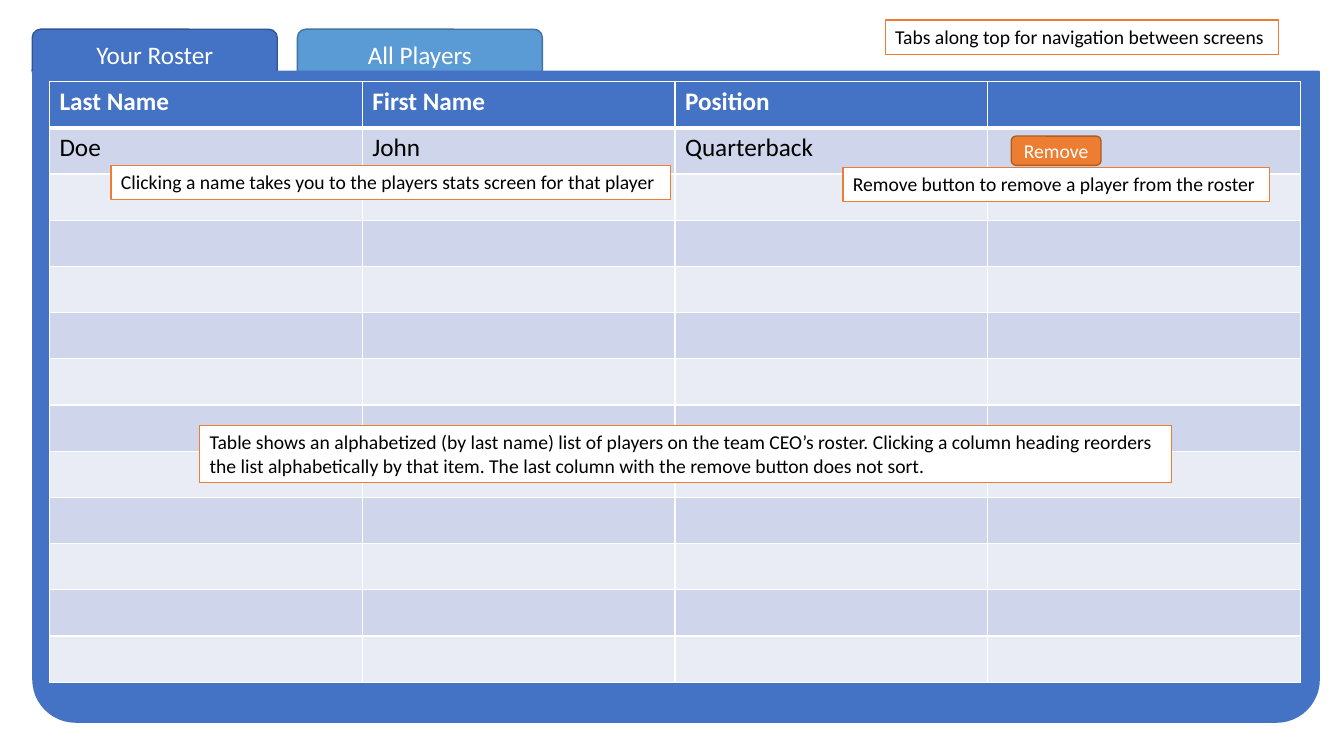
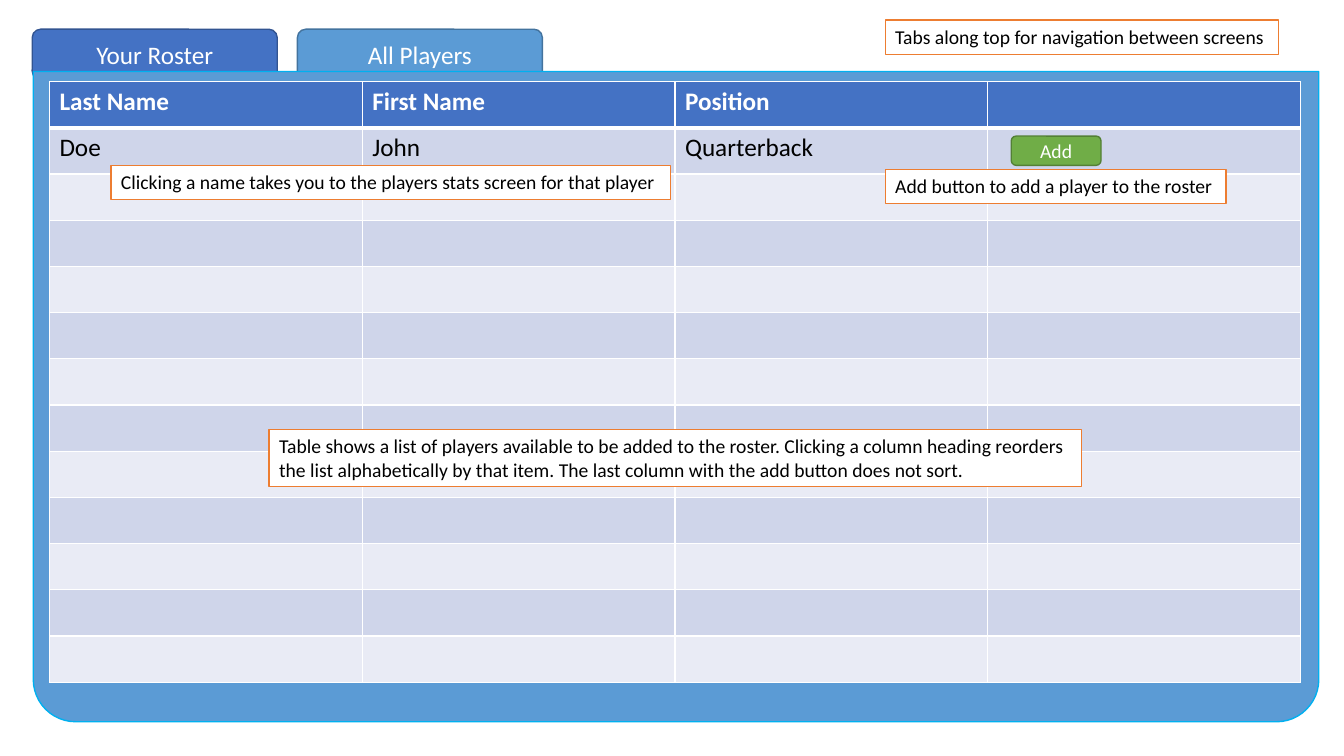
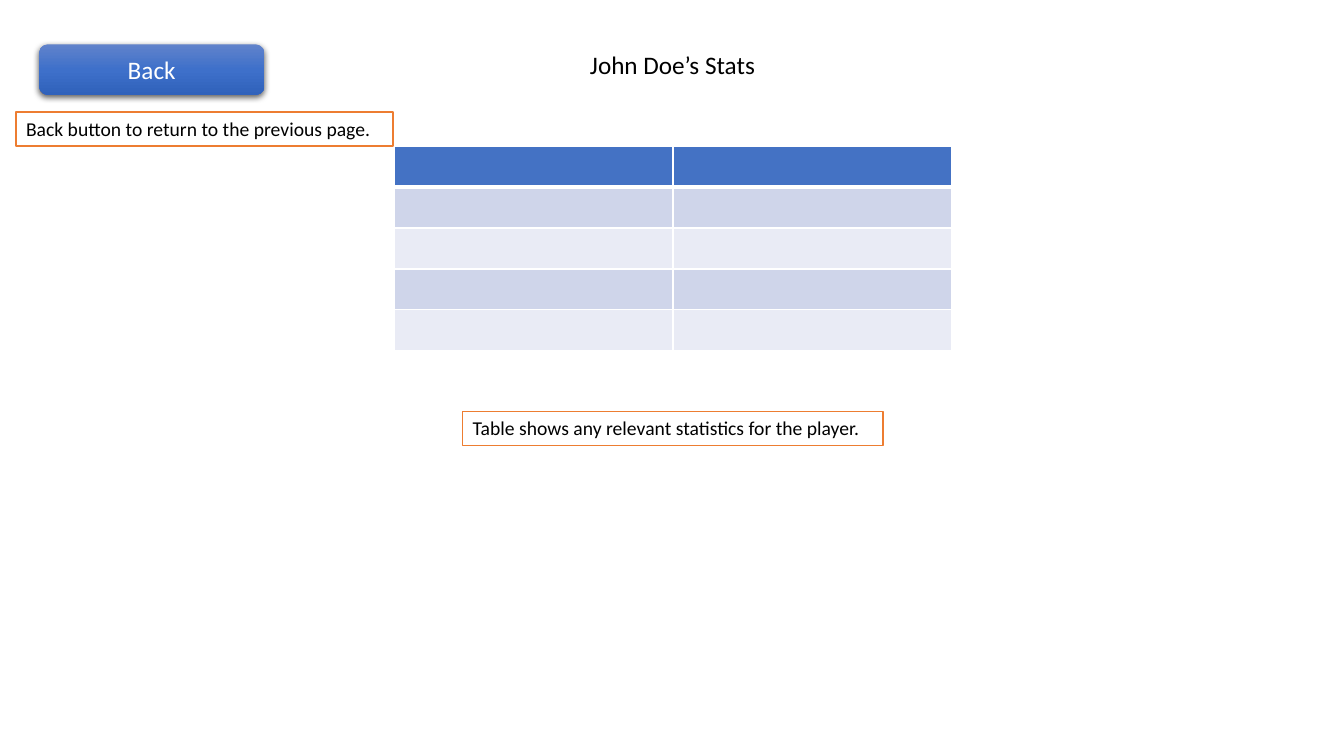
from copy import deepcopy
from dataclasses import dataclass

from lxml.etree import SubElement
from pptx import Presentation
from pptx.dml.color import RGBColor
from pptx.enum.shapes import MSO_SHAPE as SHAPE
from pptx.enum.text import MSO_ANCHOR as ANCHOR, PP_ALIGN as ALIGN
from pptx.oxml.ns import qn
from pptx.util import Inches, Pt


@dataclass(frozen=True)
class Theme:
    """Colours, font and type sizes shared by all screens."""
    font: str = "Calibri"
    body: int = 18
    small: int = 14
    white: str = "FFFFFF"
    black: str = "000000"
    blue: str = "4472C4"
    blue_edge: str = "325491"
    sky: str = "5B9BD5"
    sky_edge: str = "43739E"
    cyan: str = "00B0F0"
    orange: str = "ED7D31"
    orange_edge: str = "AF5C24"
    green: str = "70AD47"
    green_edge: str = "538035"
    bands: tuple = ("CFD5EA", "E9EBF5")
    gradient: tuple = ((0, "6183CB"), (0.5, "3E70CA"), (1, "3062BB"))


T = Theme()
ROSTER = [["Last Name", "First Name", "Position", ""],
          ["Doe", "John", "Quarterback", ""]]


def rgb(code):
    """Turn a hex code into a colour."""
    return RGBColor.from_string(code)


def write(tf, lines, size, color, align=ALIGN.LEFT, bold=False):
    """Write one paragraph per line into a text frame."""
    for i, line in enumerate(lines):
        p = tf.paragraphs[0] if i == 0 else tf.add_paragraph()
        p.alignment = align
        r = p.add_run()
        r.text = line
        r.font.name, r.font.size, r.font.bold = T.font, Pt(size), bold
        r.font.color.rgb = rgb(color)


def add_box(slide, kind, box, fill, edge, width=1):
    """Add a flat preset shape with a fill and an outline."""
    sp = slide.shapes.add_shape(kind, *map(Inches, box))
    sp.shadow.inherit = False
    sp.fill.solid()
    sp.fill.fore_color.rgb = rgb(fill)
    sp.line.color.rgb = rgb(edge)
    sp.line.width = Pt(width)
    return sp


def add_button(slide, box, label, fill, edge, size=T.body):
    """Add a rounded button or tab with a centred label."""
    sp = add_box(slide, SHAPE.ROUNDED_RECTANGLE, box, fill, edge)
    sp.text_frame.vertical_anchor = ANCHOR.MIDDLE
    write(sp.text_frame, [label], size, T.white, ALIGN.CENTER)
    return sp


def add_note(slide, left, top, width, *lines):
    """Add an outlined note whose height follows its line count."""
    height = 0.11 + 0.23 * len(lines)
    sp = add_box(slide, SHAPE.RECTANGLE, (left, top, width, height), T.white, T.orange)
    tf = sp.text_frame
    tf.word_wrap = True
    tf.vertical_anchor = ANCHOR.TOP
    write(tf, lines, T.small, T.black)


def set_borders(cell, top, bottom):
    """Give a cell white borders, with top and bottom widths in points."""
    props = cell._tc.get_or_add_tcPr()
    for side, width in (("L", 1), ("R", 1), ("T", top), ("B", bottom)):
        ln = SubElement(props, qn(f"a:ln{side}"), w=str(Pt(width)))
        SubElement(SubElement(ln, qn("a:solidFill")), qn("a:srgbClr"), val=T.white)


def add_banded_table(slide, box, rows, cols, texts=()):
    """Add a table with a blue header and alternating row bands."""
    left, top, width, height = map(Inches, box)
    table = slide.shapes.add_table(rows, cols, left, top, width, height).table
    for i in range(rows):
        for j in range(cols):
            cell = table.cell(i, j)
            set_borders(cell, 3 if i == 1 else 1, 3 if i == 0 else 1)
            cell.fill.solid()
            cell.fill.fore_color.rgb = rgb(T.bands[(i - 1) % 2] if i else T.blue)
            if i < len(texts) and texts[i][j]:
                write(cell.text_frame, [texts[i][j]], T.body,
                      T.black if i else T.white, bold=i == 0)


def add_list_screen(prs, panel, panel_edge, edge_width, button):
    """Add a screen with tabs, a panel, a player table and shared notes."""
    slide = prs.slides.add_slide(prs.slide_layouts[6])
    tabs = (("Your Roster", T.blue, T.blue_edge), ("All Players", T.sky, T.sky_edge))
    for i, tab in enumerate(tabs):
        add_button(slide, (0.32 + 2.63 * i, 0.29, 2.43, 0.5), *tab)
    sp = add_box(slide, SHAPE.ROUND_2_SAME_RECTANGLE, (0.33, 0.71, 12.75, 6.45),
                 panel, panel_edge, edge_width)
    sp.adjustments[0] = 0.065
    sp.rotation = 180
    add_banded_table(slide, (0.49, 0.81, 12.41, 5.96), 13, 4, ROSTER)
    add_button(slide, (10.03, 1.35, 0.89, 0.29), *button, T.small)
    add_note(slide, 8.78, 0.2, 3.9, "Tabs along top for navigation between screens")
    add_note(slide, 1.1, 1.64, 5.55,
             "Clicking a name takes you to the players stats screen for that player")
    return slide


def make_glossy(sp):
    """Give a button a vertical gradient and a soft shadow, without outline."""
    sp.line.fill.background()
    sp.fill.gradient()
    sp.fill.gradient_angle = 270
    first = sp.fill.gradient_stops[0]._gs
    first.addnext(deepcopy(first))
    for stop, (position, color) in zip(sp.fill.gradient_stops, T.gradient):
        stop.position = position
        stop.color.rgb = rgb(color)
    effects = sp._element.spPr.find(qn("a:effectLst"))
    shadow = SubElement(effects, qn("a:outerShdw"), blurRad=str(Pt(4.5)),
                        dist=str(Pt(1.5)), dir="5400000", algn="ctr", rotWithShape="0")
    color = SubElement(shadow, qn("a:srgbClr"), val=T.black)
    SubElement(color, qn("a:alpha"), val="63000")


def add_stats_screen(prs):
    """Add the statistics screen of one player."""
    slide = prs.slides.add_slide(prs.slide_layouts[6])
    back = add_button(slide, (0.39, 0.44, 2.23, 0.5), "Back", T.blue, T.blue_edge)
    make_glossy(back)
    title = slide.shapes.add_textbox(*map(Inches, (5.74, 0.44, 1.86, 0.4)))
    title.text_frame.word_wrap = False
    write(title.text_frame, ["John Doe’s Stats"], T.body, T.black, ALIGN.CENTER)
    add_banded_table(slide, (3.91, 1.45, 5.53, 2.03), 5, 2)
    add_note(slide, 4.59, 4.08, 4.17, "Table shows any relevant statistics for the player.")
    add_note(slide, 0.16, 1.11, 3.74, "Back button to return to the previous page.")


def main():
    """Build the three screens and save them."""
    prs = Presentation()
    prs.slide_width, prs.slide_height = Inches(13.33), Inches(7.5)

    roster = add_list_screen(prs, T.blue, T.blue, 1.5, ("Remove", T.orange, T.orange_edge))
    add_note(roster, 8.36, 1.66, 4.23, "Remove button to remove a player from the roster")
    add_note(roster, 1.98, 4.22, 9.64,
             "Table shows an alphabetized (by last name) list of players on the team "
             "CEO’s roster. Clicking a column heading reorders",
             "the list alphabetically by that item. The last column with the remove "
             "button does not sort.")

    players = add_list_screen(prs, T.sky, T.cyan, 1, ("Add", T.green, T.green_edge))
    add_note(players, 8.78, 1.68, 3.38, "Add button to add a player to the roster")
    add_note(players, 2.67, 4.26, 8.06,
             "Table shows a list of players available to be added to the roster. "
             "Clicking a column heading reorders",
             "the list alphabetically by that item. The last column with the add "
             "button does not sort.")

    add_stats_screen(prs)
    prs.save("out.pptx")


main()
